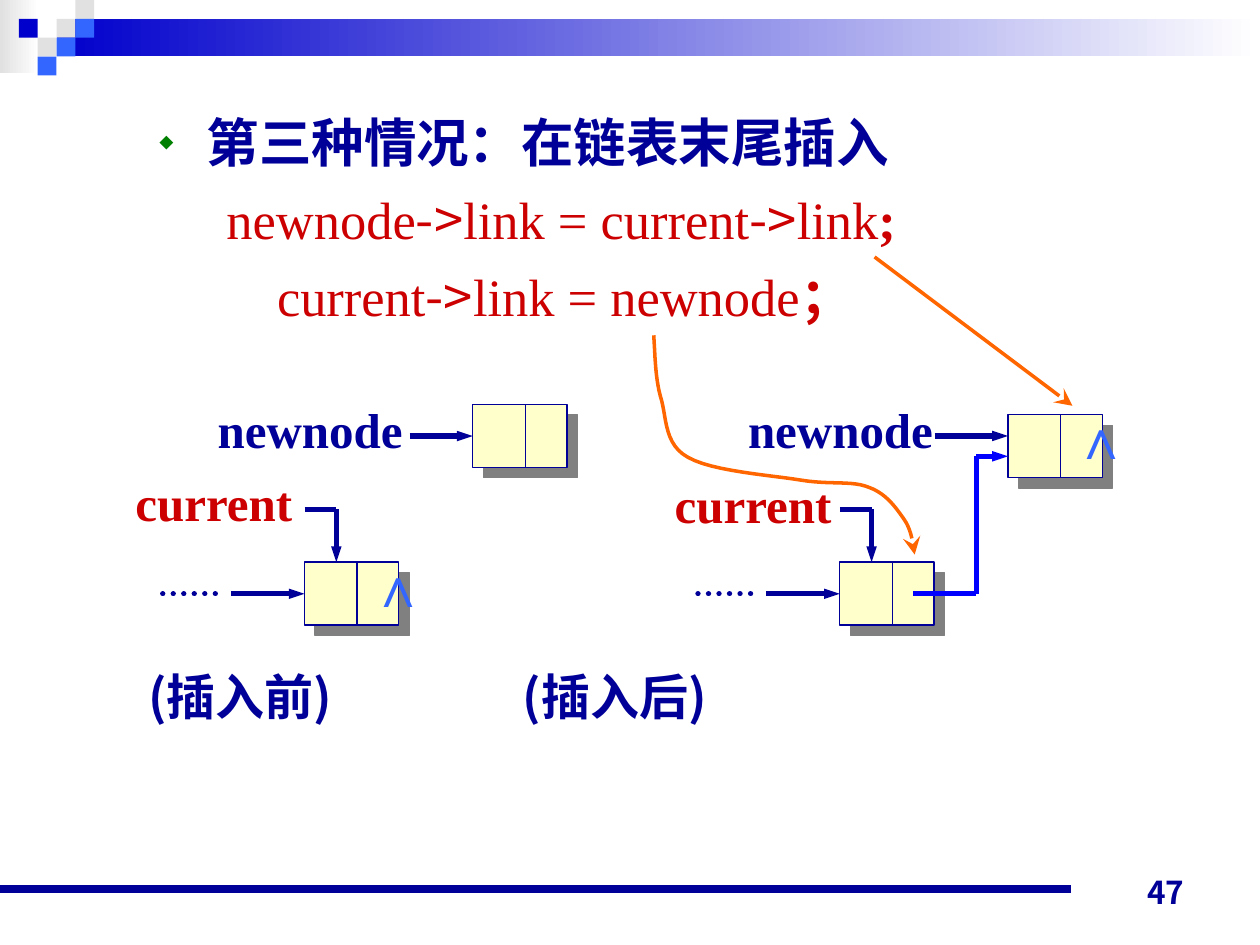
from lxml import etree
from pptx import Presentation
from pptx.dml.color import RGBColor
from pptx.enum.dml import MSO_LINE
from pptx.enum.shapes import MSO_CONNECTOR, MSO_SHAPE
from pptx.enum.text import MSO_ANCHOR, MSO_AUTO_SIZE, PP_ALIGN
from pptx.oxml.ns import qn
from pptx.util import Cm, Pt

RECTANGLE = MSO_SHAPE.RECTANGLE
STRAIGHT = MSO_CONNECTOR.STRAIGHT
DOTTED = MSO_LINE.ROUND_DOT
LEFT, RIGHT = PP_ALIGN.LEFT, PP_ALIGN.RIGHT
TOP, BOTTOM = MSO_ANCHOR.TOP, MSO_ANCHOR.BOTTOM
NO_AUTOFIT = MSO_AUTO_SIZE.NONE

NAVY = RGBColor(0x00, 0x00, 0x99)
DEEP_BLUE = RGBColor(0x00, 0x00, 0xCC)
LINK_BLUE = RGBColor(0x00, 0x00, 0xFF)
SKY_BLUE = RGBColor(0x33, 0x66, 0xFF)
RED = RGBColor(0xCC, 0x00, 0x00)
ORANGE = RGBColor(0xFF, 0x66, 0x00)
CREAM = RGBColor(0xFF, 0xFF, 0xCC)
GREY = RGBColor(0xE1, 0xE1, 0xE1)
WHITE = RGBColor(0xFF, 0xFF, 0xFF)

SERIF, SANS = "Times New Roman", "Arial"
CJK, CJK_WIDE = "Noto Sans CJK SC", "Noto Sans CJK JP"

NODE_WIDTH, NODE_HEIGHT, DIVIDER, MIDDLE = 1.9, 1.27, 1.06, 0.64
TILE = 0.38
POINTER = ("triangle", "sm", "med")
CALLOUT = ("stealth", "lg", "lg")
CURVE = [(13.18, 6.76), (13.21, 7.21), (13.21, 7.67), (13.34, 8.08),
         (13.44, 8.48), (13.41, 8.97), (13.87, 9.22),
         (14.35, 9.5), (15.54, 9.58), (16.15, 9.68),
         (16.76, 9.78), (17.17, 9.68), (17.53, 9.83),
         (17.88, 9.96), (18.08, 10.26), (18.24, 10.49),
         (18.39, 10.72), (18.42, 11.05), (18.44, 11.18)]


def add_element(parent, tag, **attributes):
    """Append a DrawingML element and return it."""
    element = etree.SubElement(parent, qn(tag))
    for name, value in attributes.items():
        element.set(name, value)
    return element


def add_run(paragraph, text, size, color, font, bold=True, east_asian=CJK):
    """Append one formatted run."""
    run = paragraph.add_run()
    run.text = text
    run.font.size, run.font.bold, run.font.name = Pt(size), bold, font
    run.font.color.rgb = color
    add_element(run.font._element, "a:ea", typeface=east_asian)


def add_label(slide, box, text, size, color, font, align=LEFT, anchor=TOP):
    """Add a one-line text box in the given box."""
    frame = slide.shapes.add_textbox(*map(Cm, box)).text_frame
    frame.word_wrap = False
    frame.vertical_anchor = anchor
    frame.paragraphs[0].alignment = align
    add_run(frame.paragraphs[0], text, size, color, font)


def add_arrowhead(shape, kind, width, length):
    """Put an arrowhead at the end of a line or open outline."""
    add_element(shape.get_or_add_ln(), "a:tailEnd", type=kind, w=width, len=length)


def add_line(slide, start, end, color=NAVY, width=3, head=None):
    """Add a straight line, with an arrowhead given as kind, width and length."""
    line = slide.shapes.add_connector(STRAIGHT, *map(Cm, (*start, *end)))
    line.line.color.rgb = color
    line.line.width = Pt(width)
    add_element(line._element.spPr, "a:effectLst")
    if head:
        add_arrowhead(line, *head)
    return line


def add_rectangle(slide, box, color, end_color=None):
    """Add a borderless rectangle with a plain or left-to-right gradient fill."""
    shape = slide.shapes.add_shape(RECTANGLE, *map(Cm, box))
    shape.shadow.inherit = False
    shape.line.fill.background()
    if end_color is None:
        shape.fill.solid()
        shape.fill.fore_color.rgb = color
    else:
        shape.fill.gradient()
        shape.fill.gradient_angle = 0
        for stop, stop_color in zip(shape.fill.gradient_stops, (color, end_color)):
            stop.color.rgb = stop_color
    return shape


def add_frame(slide):
    """Draw the top band with its tiles, the bottom rule and the page number."""
    add_rectangle(slide, (0, 0, 0.79, 1.47), GREY, WHITE)
    add_rectangle(slide, (3 * TILE, TILE, 25.4 - 3 * TILE, 2 * TILE), DEEP_BLUE, WHITE)
    tiles = [(3, 1, GREY), (4, 0, GREY), (4, 1, SKY_BLUE), (2, 2, GREY),
             (1, 1, DEEP_BLUE), (3, 2, SKY_BLUE), (2, 3, SKY_BLUE)]
    for column, row, color in tiles:
        add_rectangle(slide, (column * TILE, row * TILE, TILE, TILE), color)
    add_line(slide, (0, 17.93), (21.59, 17.93), width=4.5)
    add_label(slide, (18.21, 17.22, 5.92, 1.27), "47", 18, NAVY, CJK_WIDE, RIGHT, BOTTOM)


def add_statements(slide, box):
    """Fill the body placeholder with the heading and two code lines."""
    body = slide.placeholders[1]
    body.left, body.top, body.width, body.height = map(Cm, box)
    frame = body.text_frame
    frame.auto_size = NO_AUTOFIT
    frame.vertical_anchor = TOP
    paragraphs = [frame.paragraphs[0], frame.add_paragraph(), frame.add_paragraph()]
    for paragraph, margin, indent in zip(paragraphs, (2.34, 2.74, 3.76), (-0.95, 0, 0)):
        properties = paragraph._p.get_or_add_pPr()
        properties.set("marL", str(Cm(margin)))
        properties.set("indent", str(Cm(indent)))
        if indent:
            color = add_element(properties, "a:buClr")
            add_element(color, "a:srgbClr", val="008000")
            add_element(properties, "a:buSzPct", val="27000")
            add_element(properties, "a:buFont", typeface=CJK)
            add_element(properties, "a:buChar", char="◆")
        else:
            add_element(properties, "a:buNone")
        paragraph.alignment = LEFT
        paragraph.line_spacing = Pt(36.5)
        paragraph.space_before = Pt(0 if indent else 7.5)
    heading, first, second = paragraphs
    add_run(heading, "第三种情况：在链表末尾插入", 30, NAVY, SANS)
    statements = [(first, ("newnode", "->", "link = current", "->", "link")),
                  (second, ("current", "->", "link = newnode"))]
    for paragraph, parts in statements:
        for part in parts:
            add_run(paragraph, part, 30, RED, CJK if part == "->" else SERIF, bold=False)
    add_run(first, ";", 30, RED, SERIF)
    add_run(second, "；", 30, RED, SERIF, east_asian=CJK_WIDE)


def add_node(slide, left, top):
    """Draw a two-field list node with a hard shadow."""
    node = add_rectangle(slide, (left, top, NODE_WIDTH, NODE_HEIGHT), CREAM)
    node.line.color.rgb = NAVY
    node.line.width = Pt(0.75)
    effects = node._element.spPr.find(qn("a:effectLst"))
    shadow = add_element(effects, "a:outerShdw", dist=str(Pt(8.5)), dir="2700000",
                         algn="ctr", rotWithShape="0")
    add_element(shadow, "a:srgbClr", val="808080")
    add_line(slide, (left + DIVIDER, top), (left + DIVIDER, top + NODE_HEIGHT), width=0.75)


def add_null_mark(slide, left, top):
    """Mark the link field of the node at this corner as empty."""
    add_label(slide, (left + 1.07, top - 0.34, 0.89, 1.63), "∧", 32, SKY_BLUE, SANS)


def add_current_node(slide, left, top, label_left, label_top):
    """Draw the last list node with its incoming links and current pointer."""
    add_node(slide, left, top)
    middle = top + MIDDLE
    dots = add_line(slide, (left - 2.86, middle), (left - 1.6, middle))
    dots.line.dash_style = DOTTED
    dots.get_or_add_ln().set("cap", "rnd")
    add_line(slide, (left - 1.48, middle), (left, middle), head=POINTER)
    corner = (left + MIDDLE, top - 1.06)
    add_line(slide, (left, top - 1.06), corner)
    add_line(slide, corner, (left + MIDDLE, top), head=POINTER)
    add_label(slide, (left + label_left, top + label_top, 3.68, 1.45),
              "current", 28, RED, SERIF, RIGHT)


def add_new_node(slide, left, top, arrow_length, arrow_top, label_left):
    """Draw the new node with its newnode pointer."""
    add_node(slide, left, top)
    add_line(slide, (left - arrow_length, top + arrow_top), (left, top + arrow_top), head=POINTER)
    add_label(slide, (left + label_left, 7.93, 4.8, 1.45), "newnode", 28, NAVY, SERIF)


def add_link(slide, left, top):
    """Draw the bent link from the node at this corner to the new node."""
    points = [(left + 1.48, top + MIDDLE), (left + 2.75, top + MIDDLE),
              (left + 2.75, top - 2.13), (left + 3.39, top - 2.13)]
    for index, (start, end) in enumerate(zip(points, points[1:])):
        add_line(slide, start, end, LINK_BLUE, head=POINTER if index == 2 else None)


def bezier_point(points, t):
    """Return the point at t on a cubic curve, in EMU."""
    weights = ((1 - t) ** 3, 3 * t * (1 - t) ** 2, 3 * t * t * (1 - t), t ** 3)
    return tuple(Cm(sum(w * p[axis] for w, p in zip(weights, points))) for axis in (0, 1))


def add_curved_arrow(slide, points, steps=12):
    """Draw an arrow along joined cubic curves."""
    builder = slide.shapes.build_freeform(*map(Cm, points[0]))
    vertices = [bezier_point(points[first:first + 4], step / steps)
                for first in range(0, len(points) - 1, 3) for step in range(1, steps + 1)]
    builder.add_line_segments(vertices, close=False)
    curve = builder.convert_to_shape()
    curve.shadow.inherit = False
    curve.fill.background()
    curve.line.color.rgb = ORANGE
    curve.line.width = Pt(2)
    add_arrowhead(curve, *CALLOUT)


def main():
    """Build and save the slide."""
    presentation = Presentation()
    presentation.slide_width, presentation.slide_height = Cm(25.4), Cm(19.05)
    slide = presentation.slides.add_slide(presentation.slide_layouts[1])
    title = slide.shapes.title._element
    title.getparent().remove(title)
    add_frame(slide)
    add_statements(slide, (1.57, 2.08, 22.23, 11.43))
    for left, caption in ((2.74, "(插入前)"), (10.29, "(插入后)")):
        add_label(slide, (left, 13.31, 4.7, 1.45), caption, 28, NAVY, CJK)
    add_current_node(slide, 6.14, 11.33, -3.68, -1.93)
    add_null_mark(slide, 6.14, 11.33)
    add_new_node(slide, 9.53, 8.15, 1.27, MIDDLE, -5.39)
    add_current_node(slide, 16.93, 11.33, -3.6, -1.88)
    add_new_node(slide, 20.32, 8.36, 1.48, 0.43, -5.49)
    add_null_mark(slide, 20.32, 8.36)
    add_link(slide, 16.93, 11.33)
    add_line(slide, (17.63, 5.18), (21.62, 8.18), ORANGE, 2, CALLOUT)
    add_curved_arrow(slide, CURVE)
    presentation.save("out.pptx")


if __name__ == "__main__":
    main()
